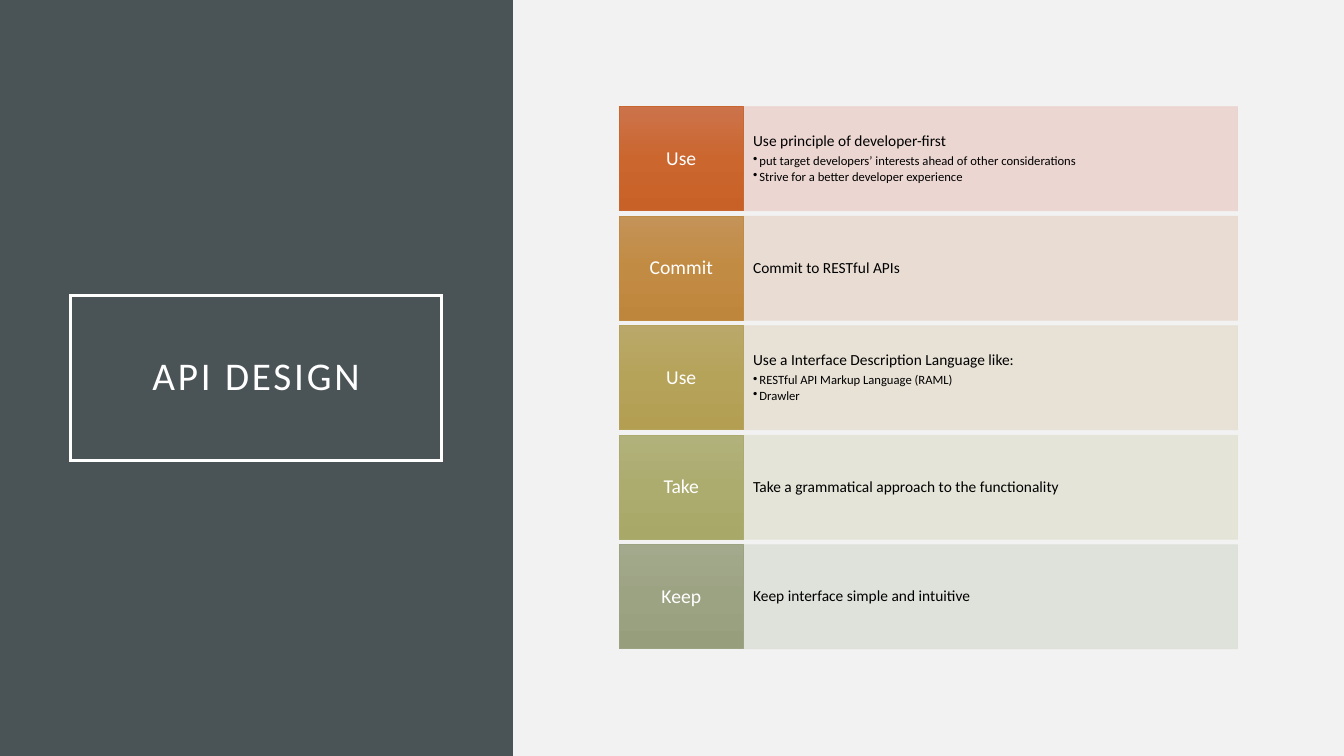
from dataclasses import dataclass

from lxml.etree import SubElement
from pptx import Presentation
from pptx.dml.color import RGBColor
from pptx.enum.shapes import MSO_SHAPE as Shape
from pptx.enum.text import MSO_ANCHOR as Anchor, PP_ALIGN as Align
from pptx.oxml import parse_xml
from pptx.oxml.ns import nsdecls, qn
from pptx.util import Cm, Pt


@dataclass(frozen=True)
class Theme:
    font: str = "Calibri"
    background: str = "F2F2F2"
    panel: str = "4A5356"
    light: str = "FFFFFF"
    dark: str = "000000"
    title_size: float = 28
    label_size: float = 14
    statement_size: float = 11
    detail_size: float = 9
    title_line: float = 2.5
    box_line: float = 0.5
    line_spacing: float = 0.9


@dataclass(frozen=True)
class Principle:
    label: str
    statement: str
    details: tuple
    gradient: tuple
    edge: str
    tint: str


PRINCIPLES = (
    Principle("Use", "Use principle of developer-first",
              ("put target developers’ interests ahead of other considerations",
               "Strive for a better developer experience"),
              ("CC734B", "CB662F", "C86128"), "C96731", "EBD3CE"),
    Principle("Commit", "Commit to RESTful APIs", (),
              ("C49358", "C28B43", "BE863C"), "C08B45", "E9DBD0"),
    Principle("Use", "Use a Interface Description Language like:",
              ("RESTful API Markup Language (RAML)", "Drawler"),
              ("BAA86A", "B6A35A", "B39E52"), "B5A25B", "E6E0D3"),
    Principle("Take", "Take a grammatical approach to the functionality", (),
              ("B1B17B", "ACAC6F", "A8A868"), "ABAB70", "E3E3D6"),
    Principle("Keep", "Keep interface simple and intuitive", (),
              ("A3A98C", "9CA383", "979E7C"), "9CA383", "DEE0D9"),
)


class SlideBuilder:
    def __init__(self, slide, theme):
        self.slide = slide
        self.theme = theme
        fill = slide.background.fill
        fill.solid()
        fill.fore_color.rgb = RGBColor.from_string(theme.background)

    def style_paragraph(self, paragraph, size, color, space_after=0):
        paragraph.line_spacing = self.theme.line_spacing
        paragraph.space_after = Pt(space_after)
        for run in paragraph.runs:
            run.font.name = self.theme.font
            run.font.size = Pt(size)
            run.font.color.rgb = RGBColor.from_string(color)

    def set_frame(self, frame, horizontal, vertical, anchor=Anchor.MIDDLE):
        frame.word_wrap = True
        frame.vertical_anchor = anchor
        frame.margin_left = frame.margin_right = Cm(horizontal)
        frame.margin_top = frame.margin_bottom = Cm(vertical)

    def box(self, left, top, width, height, color, edge=None):
        shape = self.slide.shapes.add_shape(
            Shape.RECTANGLE, Cm(left), Cm(top), Cm(width), Cm(height))
        shape.shadow.inherit = False
        shape.fill.solid()
        shape.fill.fore_color.rgb = RGBColor.from_string(color)
        if edge:
            shape.line.color.rgb = RGBColor.from_string(edge)
            shape.line.width = Pt(self.theme.box_line)
        else:
            shape.line.fill.background()
        return shape

    def panel(self, width, height):
        shape = self.box(0, 0, width, height, self.theme.panel)
        self.slide.shapes.title._element.addprevious(shape._element)

    def title(self, text, left, top, width, height):
        title = self.slide.shapes.title
        title.left, title.top = Cm(left), Cm(top)
        title.width, title.height = Cm(width), Cm(height)
        title.line.color.rgb = RGBColor.from_string(self.theme.light)
        title.line.width = Pt(self.theme.title_line)
        outline = title._element.spPr.find(qn("a:ln"))
        SubElement(outline, qn("a:miter")).set("lim", "800000")
        title.text_frame.text = text
        self.set_frame(title.text_frame, 0.5, 0.5)
        paragraph = title.text_frame.paragraphs[0]
        paragraph.alignment = Align.CENTER
        self.style_paragraph(paragraph, self.theme.title_size, self.theme.light)
        paragraph.runs[0].font._element.set("spc", "200")

    def label(self, principle, left, top, width, height):
        shape = self.box(left, top, width, height, principle.edge, principle.edge)
        stops = "".join(
            f'<a:gs pos="{position}"><a:srgbClr val="{color}"/></a:gs>'
            for position, color in zip((0, 50000, 100000), principle.gradient))
        properties = shape._element.spPr
        properties.replace(properties.find(qn("a:solidFill")), parse_xml(
            f'<a:gradFill {nsdecls("a")} rotWithShape="1"><a:gsLst>{stops}</a:gsLst>'
            '<a:lin ang="5400000" scaled="0"/></a:gradFill>'))
        frame = shape.text_frame
        frame.text = principle.label
        self.set_frame(frame, 0.15, 0.25)
        frame.paragraphs[0].alignment = Align.CENTER
        self.style_paragraph(frame.paragraphs[0], self.theme.label_size, self.theme.light)

    def description(self, principle, left, top, width, height):
        shape = self.box(left, top, width, height, principle.tint, principle.tint)
        for color in shape._element.spPr.iter(qn("a:srgbClr")):
            SubElement(color, qn("a:alpha")).set("val", "90000")
        frame = shape.text_frame
        frame.text = "\n".join((principle.statement, *principle.details))
        self.set_frame(frame, 0.25, 0.66,
                       Anchor.TOP if principle.details else Anchor.MIDDLE)
        statement, *details = frame.paragraphs
        statement.alignment = Align.LEFT
        self.style_paragraph(statement, self.theme.statement_size, self.theme.dark,
                             3.85 if details else 0)
        for paragraph in details:
            paragraph.level = 1
            paragraph.alignment = Align.LEFT
            self.style_paragraph(paragraph, self.theme.detail_size, self.theme.dark, 1.35)
            properties = paragraph._p.get_or_add_pPr()
            properties.set("marL", str(Cm(0.16)))
            properties.set("indent", str(-Cm(0.16)))
            SubElement(properties, qn("a:buChar")).set("char", "•")


def main():
    presentation = Presentation()
    presentation.slide_width, presentation.slide_height = Cm(33.87), Cm(19.05)
    slide = presentation.slides.add_slide(presentation.slide_layouts[5])
    builder = SlideBuilder(slide, Theme())
    builder.panel(12.93, 19.05)
    builder.title("API DESIGN", 1.78, 7.45, 9.35, 4.16)

    left, first_top, pitch, height = 15.61, 2.69, 2.76, 2.62
    label_width, description_width = 3.12, 12.46
    for index, principle in enumerate(PRINCIPLES):
        top = first_top + index * pitch
        builder.description(principle, left + label_width, top, description_width, height)
        builder.label(principle, left, top, label_width, height)

    presentation.save("out.pptx")


if __name__ == "__main__":
    main()
